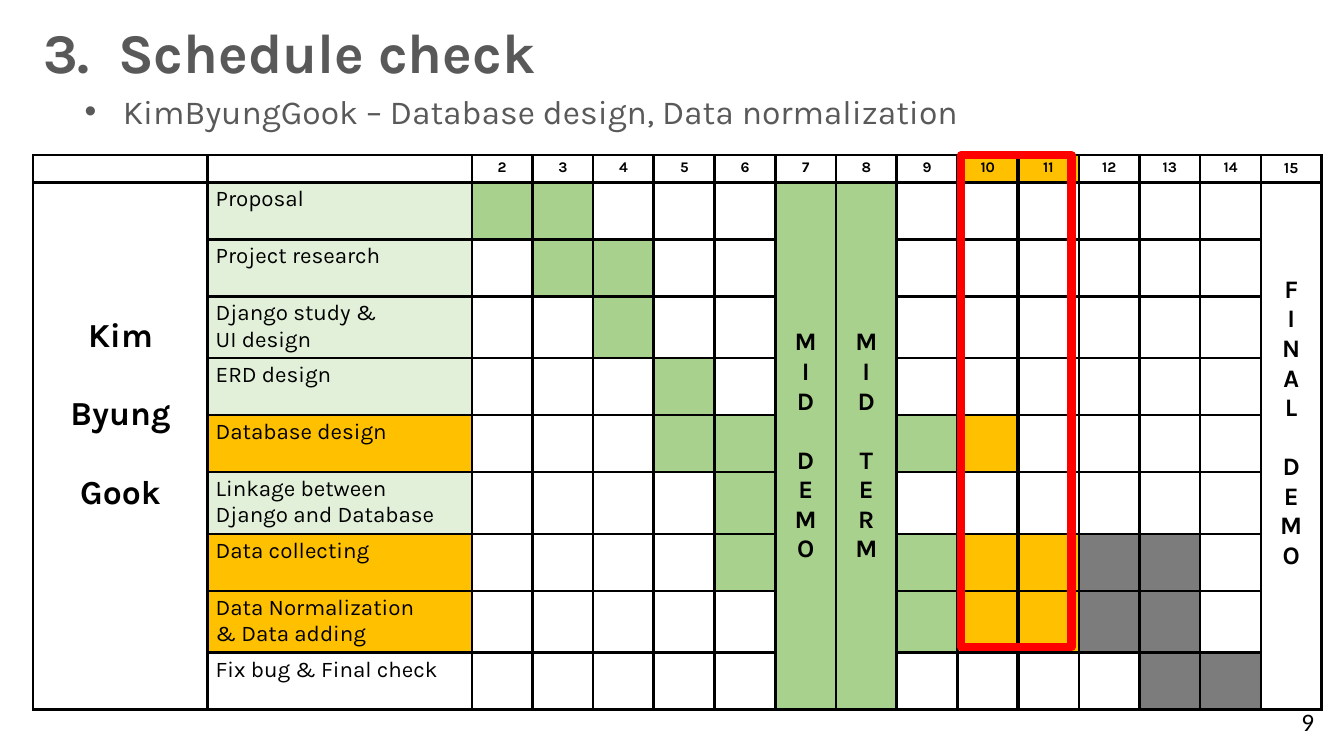
from lxml import etree
from pptx import Presentation
from pptx.dml.color import RGBColor
from pptx.enum.shapes import MSO_SHAPE
from pptx.enum.text import MSO_ANCHOR, PP_ALIGN
from pptx.oxml.ns import qn
from pptx.util import Inches, Pt

TOP, MIDDLE = MSO_ANCHOR.TOP, MSO_ANCHOR.MIDDLE
LEFT, CENTER = PP_ALIGN.LEFT, PP_ALIGN.CENTER
RECTANGLE = MSO_SHAPE.RECTANGLE

BLACK = RGBColor(0x00, 0x00, 0x00)
WHITE = RGBColor(0xFF, 0xFF, 0xFF)
GRAY_TEXT = RGBColor(0x59, 0x59, 0x59)
PALE_GREEN = RGBColor(0xE2, 0xF0, 0xD9)
GREEN = RGBColor(0xA9, 0xD1, 0x8E)
AMBER = RGBColor(0xFF, 0xC0, 0x00)
GRAY = RGBColor(0x7C, 0x7C, 0x7C)
RED = RGBColor(0xFF, 0x00, 0x00)

TITLE = "3.  Schedule check"
SUBTITLE = "KimByungGook – Database design, Data normalization"
PAGE_NUMBER = "9"
MEMBER = ["Kim", "Byung", "Gook"]
WEEKS = range(2, 16)
CURRENT_WEEKS = (10, 11)
TASKS = [
    (["Proposal"], PALE_GREEN, {GREEN: [2, 3]}),
    (["Project research"], PALE_GREEN, {GREEN: [3, 4]}),
    (["Django study &", "UI design"], PALE_GREEN, {GREEN: [4]}),
    (["ERD design"], PALE_GREEN, {GREEN: [5]}),
    (["Database design"], AMBER, {GREEN: [5, 6, 9], AMBER: [10]}),
    (["Linkage between Django and Database"], PALE_GREEN, {GREEN: [6]}),
    (["Data collecting"], AMBER,
     {GREEN: [6, 9], AMBER: [10, 11], GRAY: [12, 13]}),
    (["Data Normalization", "& Data adding"], AMBER,
     {GREEN: [9], AMBER: [10, 11], GRAY: [12, 13]}),
    (["Fix bug & Final check"], WHITE, {GRAY: [13, 14]}),
]
MILESTONES = [
    (7, ["MID", "DEMO"], GREEN, MIDDLE, 0.06),
    (8, ["MID", "TERM"], GREEN, MIDDLE, 0.06),
    (15, ["FINAL", "DEMO"], WHITE, TOP, 0.92),
]

TABLE_LEFT, TABLE_TOP, TABLE_WIDTH, TABLE_HEIGHT = 0.33, 1.54, 12.78, 5.49
MEMBER_WIDTH, TASK_WIDTH = 1.73, 2.62
HEADER_HEIGHT, TALL_HEIGHT = 0.27, 0.61
TALL_TASKS = (3, 6, 8)
THIN, THICK = 1.98, 2.55
THICK_AFTER = (4, 10)
MEMBER_GAP, WORD_GAP = 28, 21


def add_run(paragraph, text, size, color=BLACK, bold=False, font="Karla"):
    run = paragraph.add_run()
    run.text = text
    run.font.size = Pt(size)
    run.font.name = font
    run.font.bold = bold
    run.font.color.rgb = color


def add_label(left, top, width, height, text, size, color, bold=False,
              font="Karla", wrap=True):
    box = slide.shapes.add_textbox(
        Inches(left), Inches(top), Inches(width), Inches(height))
    box.text_frame.word_wrap = wrap
    paragraph = box.text_frame.paragraphs[0]
    add_run(paragraph, text, size, color, bold, font)
    return paragraph


def write_cell(cell, lines, size, bold=False, align=LEFT, anchor=TOP,
               top=0.04, side=0.08, gaps=()):
    cell.vertical_anchor = anchor
    cell.margin_left = cell.margin_right = Inches(side)
    cell.margin_top, cell.margin_bottom = Inches(top), Inches(min(top, 0.06))
    frame = cell.text_frame
    for index, line in enumerate(lines):
        paragraph = frame.add_paragraph() if index else frame.paragraphs[0]
        paragraph.alignment = align
        paragraph.space_before = Pt(dict(gaps).get(index, 0))
        add_run(paragraph, line, size, bold=bold)


def style_cell(cell, color, left_line, right_line):
    cell.fill.solid()
    cell.fill.fore_color.rgb = color
    properties = cell._tc.get_or_add_tcPr()
    widths = {"a:lnL": left_line, "a:lnR": right_line,
              "a:lnT": THIN, "a:lnB": THIN}
    for index, (tag, width) in enumerate(widths.items()):
        line = etree.Element(qn(tag), w=str(Pt(width)))
        solid = etree.SubElement(line, qn("a:solidFill"))
        etree.SubElement(solid, qn("a:srgbClr"), val=str(BLACK))
        properties.insert(index, line)


def week_column(week):
    return week - WEEKS[0] + 2


prs = Presentation()
prs.slide_width, prs.slide_height = Inches(13.33), Inches(7.5)
slide = prs.slides.add_slide(prs.slide_layouts[6])

subtitle = add_label(0.74, 0.85, 12.6, 0.5, SUBTITLE, 24, GRAY_TEXT)
indent = subtitle._p.get_or_add_pPr()
indent.set("marL", str(Inches(0.38)))
indent.set("indent", str(Inches(-0.38)))
etree.SubElement(indent, qn("a:buFont"), typeface="Arial")
etree.SubElement(indent, qn("a:buChar"), char="•")

schedule = slide.shapes.add_table(
    len(TASKS) + 1, len(WEEKS) + 2, Inches(TABLE_LEFT), Inches(TABLE_TOP),
    Inches(TABLE_WIDTH), Inches(TABLE_HEIGHT)).table
schedule.first_row = schedule.horz_banding = False

week_width = (TABLE_WIDTH - MEMBER_WIDTH - TASK_WIDTH) / len(WEEKS)
for column, width in zip(
        schedule.columns, [MEMBER_WIDTH, TASK_WIDTH] + [week_width] * len(WEEKS)):
    column.width = Inches(width)
task_height = ((TABLE_HEIGHT - HEADER_HEIGHT - TALL_HEIGHT * len(TALL_TASKS))
               / (len(TASKS) - len(TALL_TASKS)))
for index, row in enumerate(schedule.rows):
    height = TALL_HEIGHT if index in TALL_TASKS else task_height
    row.height = Inches(height if index else HEADER_HEIGHT)

fills = {(0, week_column(week)): AMBER for week in CURRENT_WEEKS}
for week in WEEKS:
    write_cell(schedule.cell(0, week_column(week)), [str(week)],
               11 if week == WEEKS[-1] else 10.5, True, CENTER)

for row, (label, label_color, progress) in enumerate(TASKS, 1):
    write_cell(schedule.cell(row, 1), label, 16)
    fills[row, 1] = label_color
    for color, weeks in progress.items():
        fills.update({(row, week_column(week)): color for week in weeks})

write_cell(schedule.cell(1, 0), MEMBER, 24, True, CENTER, top=1.33, side=0.11,
           gaps={1: MEMBER_GAP, 2: MEMBER_GAP})
schedule.cell(1, 0).merge(schedule.cell(len(TASKS), 0))
for week, words, color, anchor, top in MILESTONES:
    column = week_column(week)
    write_cell(schedule.cell(1, column), "".join(words), 18, True, CENTER,
               anchor, top, gaps={len(words[0]): WORD_GAP})
    schedule.cell(1, column).merge(schedule.cell(len(TASKS), column))
    fills.update({(row, column): color for row in range(1, len(TASKS) + 1)})

thick_columns = [week_column(week) for week in THICK_AFTER]
for row in range(len(TASKS) + 1):
    for column in range(len(WEEKS) + 2):
        cell = schedule.cell(row, column)
        style_cell(cell, fills.get((row, column), WHITE),
                   THICK if column - 1 in thick_columns else THIN,
                   THICK if column in thick_columns else THIN)
        if not cell.text_frame.text:
            cell.margin_top = cell.margin_bottom = Inches(0.04)
            etree.SubElement(cell.text_frame.paragraphs[0]._p,
                             qn("a:endParaRPr"), sz="1050")

add_label(12.81, 6.96, 0.33, 0.4, PAGE_NUMBER, 18, BLACK, font="Calibri", wrap=False)
add_label(0.33, 0.12, 6.12, 0.77, TITLE, 40, GRAY_TEXT, bold=True)

current_period = slide.shapes.add_shape(
    RECTANGLE, Inches(9.53), Inches(TABLE_TOP), Inches(1.1), Inches(4.88))
current_period.shadow.inherit = False
current_period.fill.background()
current_period.line.color.rgb = RED
current_period.line.width = Pt(6)

prs.save("out.pptx")
